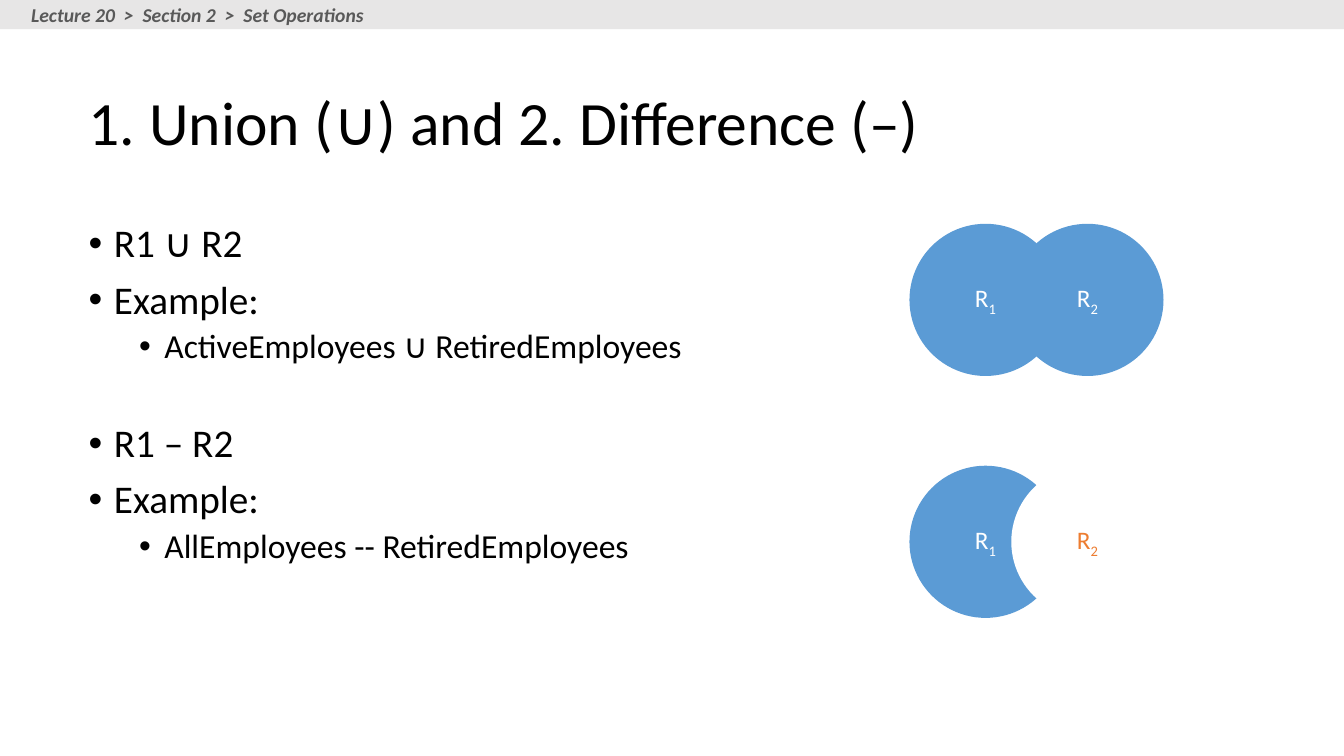
from lxml import etree
from pptx import Presentation
from pptx.dml.color import RGBColor
from pptx.enum.shapes import MSO_SHAPE
from pptx.enum.text import MSO_ANCHOR, MSO_AUTO_SIZE, PP_ALIGN
from pptx.oxml.ns import qn
from pptx.util import Inches, Pt

OVAL, RECTANGLE = MSO_SHAPE.OVAL, MSO_SHAPE.RECTANGLE
MIDDLE, TOP = MSO_ANCHOR.MIDDLE, MSO_ANCHOR.TOP
LEFT, CENTER = PP_ALIGN.LEFT, PP_ALIGN.CENTER
FIXED, GROW = MSO_AUTO_SIZE.NONE, MSO_AUTO_SIZE.SHAPE_TO_FIT_TEXT

COLORS = {"text": "000000", "white": "FFFFFF", "blue": "5B9BD5",
          "orange": "ED7D31", "bar": "E7E6E6", "crumb": "595959"}
FONT = "Calibri"

# Level, text, space before in points
BULLETS = [
    (0, "R1 ∪ R2", 10),
    (0, "Example:", 10),
    (1, "ActiveEmployees ∪ RetiredEmployees", 5),
    (0, "R1 – R2", 41.4),
    (0, "Example:", 10),
    (1, "AllEmployees -- RetiredEmployees", 5),
]
LEVEL_SIZES = (28, 24)

# Top of each diagram, fill and text colour of its second circle
DIAGRAMS = [(2.22, "blue", "white"), (4.62, "white", "orange")]
CIRCLE_LEFT, CIRCLE_STEP, CIRCLE_SIZE = 9.02, 1.01, 1.51


class SlideBuilder:
    def __init__(self, page):
        self.page = page

    def style(self, span, size, color, bold=False, italic=False):
        font = span.font
        font.name, font.size = FONT, Pt(size)
        font.bold, font.italic = bold, italic
        font.color.rgb = RGBColor.from_string(COLORS[color])

    def place(self, box, left, top, width, height):
        box.left, box.top = Inches(left), Inches(top)
        box.width, box.height = Inches(width), Inches(height)

    def title(self, text, *area):
        box = self.page.shapes.title
        self.place(box, *area)
        frame = box.text_frame
        frame.text = text
        frame.auto_size, frame.vertical_anchor = FIXED, MIDDLE
        para = frame.paragraphs[0]
        para.alignment, para.line_spacing = LEFT, 0.9
        self.style(para.runs[0], 44, "text")

    def bullets(self, items, *area):
        box = self.page.placeholders[1]
        self.place(box, *area)
        frame = box.text_frame
        frame.text = "\n".join(text for _, text, _ in items)
        frame.auto_size, frame.vertical_anchor = FIXED, TOP
        for para, (level, _, space) in zip(frame.paragraphs, items):
            para.level, para.line_spacing = level, 0.9
            para.space_before = Pt(space)
            self.style(para.runs[0], LEVEL_SIZES[level], "text")
            props = para._p.get_or_add_pPr()
            props.set("marL", str(Inches(0.25 + 0.5 * level)))
            props.set("indent", str(Inches(-0.25)))
            etree.SubElement(props, qn("a:buFont"), typeface="Arial")
            etree.SubElement(props, qn("a:buChar"), char="•")

    def group(self):
        return self.page.shapes.add_group_shape()

    def shape(self, group, kind, fill, *area):
        shape = group.shapes.add_shape(kind, *map(Inches, area))
        shape.shadow.inherit = False
        shape.fill.solid()
        shape.fill.fore_color.rgb = RGBColor.from_string(COLORS[fill])
        shape.line.fill.background()
        return shape

    def circle(self, group, number, fill, color, left, top):
        shape = self.shape(group, OVAL, fill, left, top, CIRCLE_SIZE, CIRCLE_SIZE)
        shape.text_frame.vertical_anchor = MIDDLE
        para = shape.text_frame.paragraphs[0]
        para.alignment = CENTER
        for text in ("R", number):
            span = para.add_run()
            span.text = text
            self.style(span, 18, color)
        span._r.get_or_add_rPr().set("baseline", "-25000")

    def breadcrumb(self, group, text, *area):
        box = group.shapes.add_textbox(*map(Inches, area))
        frame = box.text_frame
        frame.text = text
        frame.word_wrap, frame.auto_size = False, GROW
        self.style(frame.paragraphs[0].runs[0], 14, "crumb", bold=True, italic=True)


def main():
    deck = Presentation()
    deck.slide_width, deck.slide_height = Inches(13.33), Inches(7.5)
    builder = SlideBuilder(deck.slides.add_slide(deck.slide_layouts[1]))

    # Title and list
    builder.title("1. Union (∪) and 2. Difference (–)", 0.78, 0.75, 8.5, 1)
    builder.bullets(BULLETS, 0.78, 2.17, 10.3, 4.92)

    # Union and difference diagrams
    for top, fill, color in DIAGRAMS:
        diagram = builder.group()
        builder.circle(diagram, "1", "blue", "white", CIRCLE_LEFT, top)
        builder.circle(diagram, "2", fill, color, CIRCLE_LEFT + CIRCLE_STEP, top)

    # Header bar
    header = builder.group()
    builder.shape(header, RECTANGLE, "bar", 0, 0, 13.33, 0.29)
    builder.breadcrumb(header, "Lecture 20  >  Section 2  >  Set Operations",
                       0.21, -0.02, 3.54, 0.34)

    deck.save("out.pptx")


if __name__ == "__main__":
    main()
